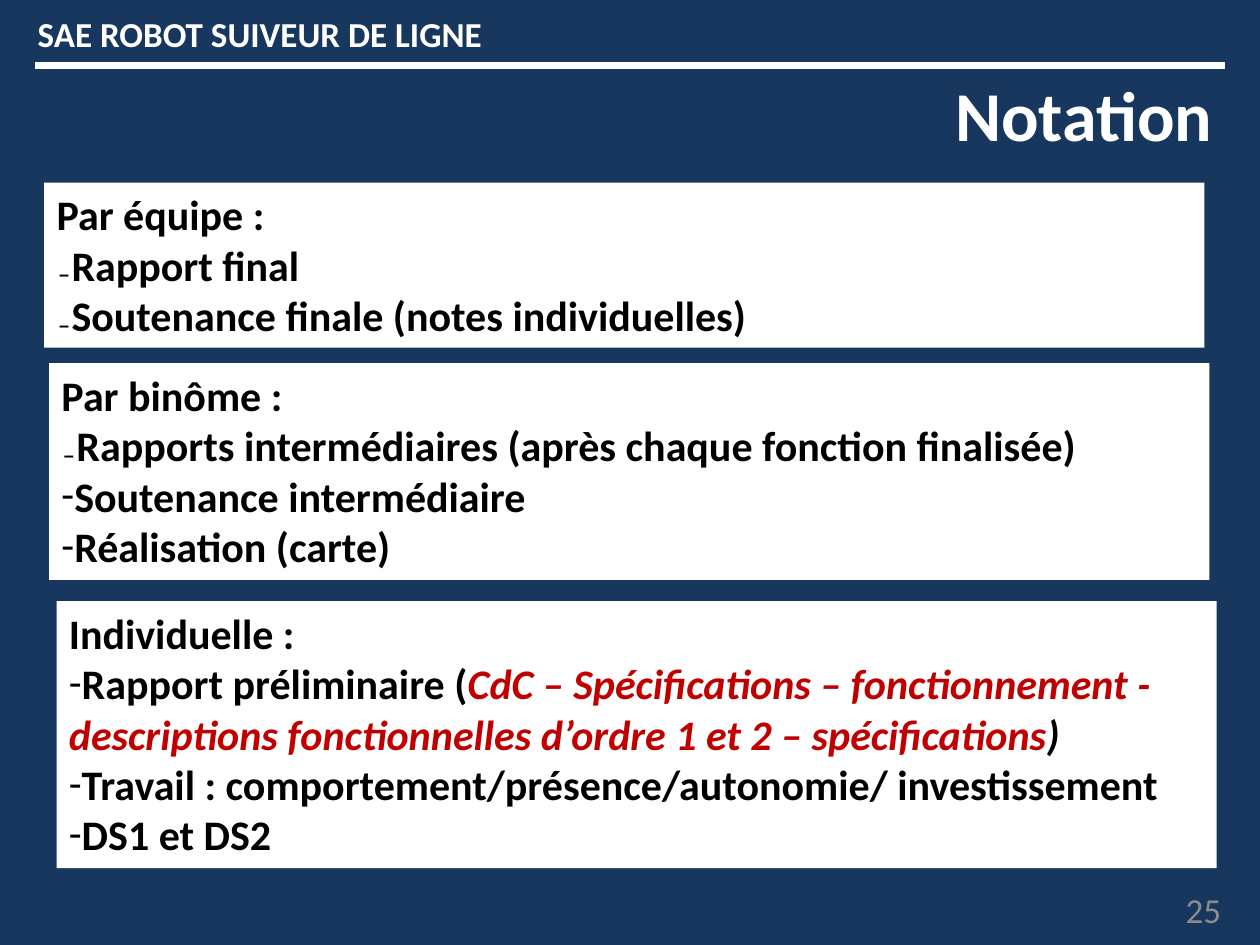
import lxml.etree
import pptx
import pptx.dml.color
import pptx.enum.shapes
import pptx.enum.text
import pptx.oxml.ns
import pptx.util

Cm = pptx.util.Cm
Pt = pptx.util.Pt
RGBColor = pptx.dml.color.RGBColor
ALIGN = pptx.enum.text.PP_ALIGN
ANCHOR = pptx.enum.text.MSO_ANCHOR
GROW = pptx.enum.text.MSO_AUTO_SIZE.SHAPE_TO_FIT_TEXT
qn = pptx.oxml.ns.qn

NAVY = RGBColor(0x17, 0x37, 0x5E)
WHITE = RGBColor(0xFF, 0xFF, 0xFF)
BLACK = RGBColor(0, 0, 0)
RED = RGBColor(0xC0, 0, 0)
GREY = RGBColor(0x8C, 0x8C, 0x8C)
FONT = "Calibri"

LOW_DASH, DASH = "₋", "-"
PANEL_WIDTH = 23.39

# Each panel: left, top, height in cm, heading, items.
# Each item: bullet, then runs of (text, colour, italic).
PANELS = [
    (0.89, 3.68, 3.33, "Par équipe :", [
        (LOW_DASH, [("Rapport final", BLACK, False)]),
        (LOW_DASH, [("Soutenance finale (notes individuelles)", BLACK, False)]),
    ]),
    (0.99, 7.32, 4.37, "Par binôme :", [
        (LOW_DASH, [("Rapports intermédiaires (après chaque fonction finalisée)",
                     BLACK, False)]),
        (DASH, [("Soutenance intermédiaire", BLACK, False)]),
        (DASH, [("Réalisation (carte)", BLACK, False)]),
    ]),
    (1.14, 12.12, 5.38, "Individuelle :", [
        (DASH, [("Rapport préliminaire (", BLACK, False),
                ("CdC – Spécifications – fonctionnement - descriptions "
                 "fonctionnelles d’ordre 1 et 2 – spécifications", RED, True),
                (")", BLACK, True)]),
        (DASH, [("Travail : comportement/présence/autonomie/ investissement",
                 BLACK, False)]),
        (DASH, [("DS1 et DS2", BLACK, False)]),
    ]),
]


def format_font(font, size, color, bold=True, italic=False):
    font.name = FONT
    font.size = Pt(size)
    font.bold = bold
    font.italic = italic
    font.color.rgb = color


def set_line(tf, text, size, color, bold=True, align=ALIGN.LEFT):
    """Fill a text frame with one formatted line."""
    tf.text = text
    p = tf.paragraphs[0]
    p.alignment = align
    format_font(p.runs[0].font, size, color, bold)


def set_bullet(p, char):
    """Give a paragraph its hanging indent and its bullet, or none."""
    pPr = p._p.get_or_add_pPr()
    pPr.set("marL", "0")
    pPr.set("indent", str(-Cm(1)))
    if char is None:
        lxml.etree.SubElement(pPr, qn("a:buNone"))
    else:
        lxml.etree.SubElement(pPr, qn("a:buFont"), typeface=FONT)
        lxml.etree.SubElement(pPr, qn("a:buChar"), char=char)


def add_header(slide, left, top, width):
    """Course name above a rule, with the slide title below it."""
    s = slide.shapes.add_textbox(Cm(left - 0.2), Cm(top), Cm(9.55), Cm(1.12))
    s.text_frame.word_wrap = False
    s.text_frame.auto_size = GROW
    set_line(s.text_frame, "SAE ROBOT SUIVEUR DE LIGNE", 20, WHITE)

    rule_y = Cm(top + 1.19)
    rule = slide.shapes.add_connector(
        pptx.enum.shapes.MSO_CONNECTOR.STRAIGHT,
        Cm(left), rule_y, Cm(left + width), rule_y)
    rule.line.color.rgb = WHITE
    rule.line.width = Pt(4)
    lxml.etree.SubElement(rule._element.spPr, qn("a:effectLst"))

    title = slide.shapes.title
    title_width = 5.77
    title.left, title.top = Cm(left + width - title_width), rule_y
    title.width, title.height = Cm(title_width), Cm(1.96)
    tf = title.text_frame
    tf.word_wrap = False
    tf.auto_size = GROW
    tf.vertical_anchor = ANCHOR.TOP
    set_line(tf, "Notation", 40, WHITE, align=ALIGN.RIGHT)


def add_panel(slide, left, top, width, height, heading, items):
    """White box with a heading and its bulleted items."""
    s = slide.shapes.add_shape(pptx.enum.shapes.MSO_SHAPE.RECTANGLE,
                               Cm(left), Cm(top), Cm(width), Cm(height))
    s.shadow.inherit = False
    s.fill.solid()
    s.fill.fore_color.rgb = WHITE
    s.line.fill.background()
    tf = s.text_frame
    tf.word_wrap = True
    tf.auto_size = GROW
    tf.vertical_anchor = ANCHOR.TOP

    lines = [(None, [(heading, BLACK, False)])] + items
    for i, (bullet, runs) in enumerate(lines):
        p = tf.add_paragraph() if i else tf.paragraphs[0]
        p.level = 1
        p.alignment = ALIGN.LEFT
        set_bullet(p, bullet)
        for text, color, italic in runs:
            r = p.add_run()
            r.text = text
            format_font(r.font, 24, color, italic=italic)


def add_page_number(slide, left, top, width, height):
    s = slide.shapes.add_textbox(Cm(left), Cm(top), Cm(width), Cm(height))
    s.text_frame.word_wrap = True
    s.text_frame.vertical_anchor = ANCHOR.MIDDLE
    set_line(s.text_frame, "25", 20, GREY, bold=False, align=ALIGN.RIGHT)


def main():
    prs = pptx.Presentation()
    prs.slide_width, prs.slide_height = Cm(25.4), Cm(19.05)
    slide = prs.slides.add_slide(prs.slide_layouts.get_by_name("Title Only"))
    slide.background.fill.solid()
    slide.background.fill.fore_color.rgb = NAVY

    add_header(slide, 0.71, 0.13, 23.98)
    for left, top, height, heading, items in PANELS:
        add_panel(slide, left, top, PANEL_WIDTH, height, heading, items)
    add_page_number(slide, 18.95, 17.83, 5.92, 1.02)
    prs.save("out.pptx")


if __name__ == "__main__":
    main()
